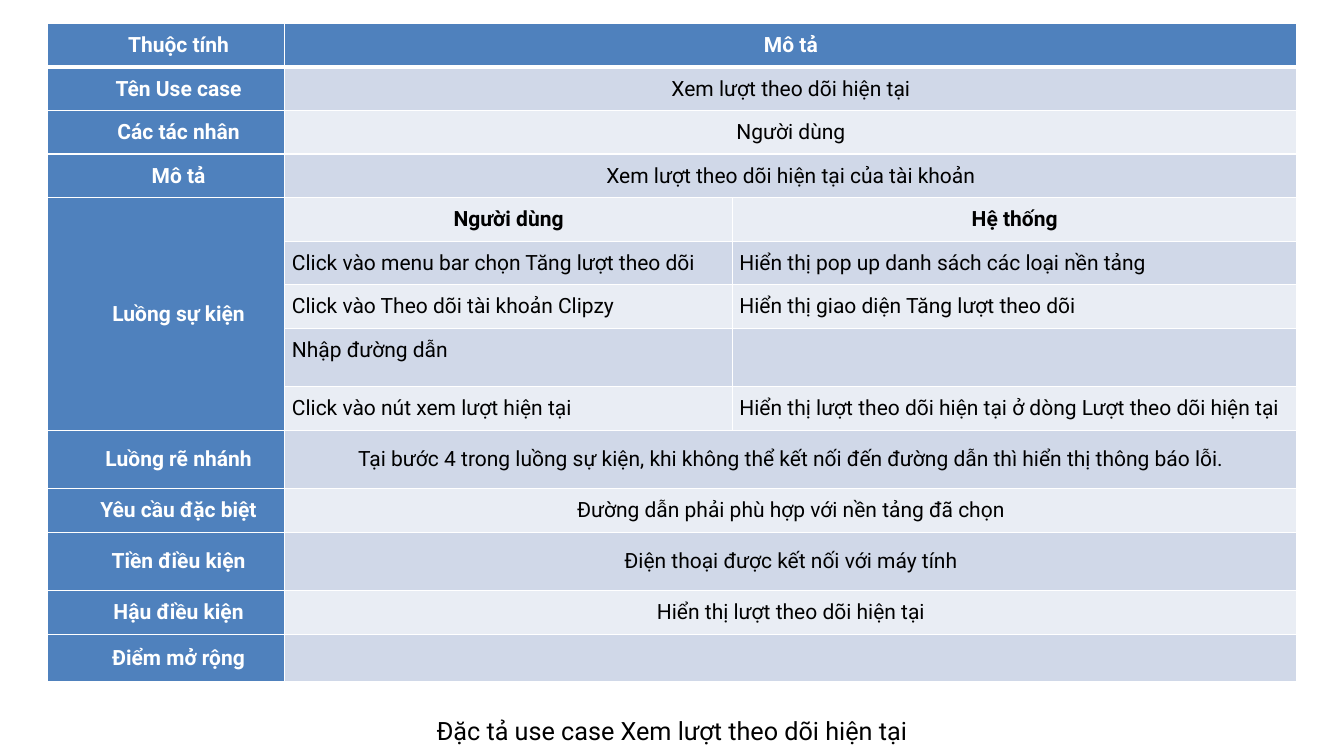
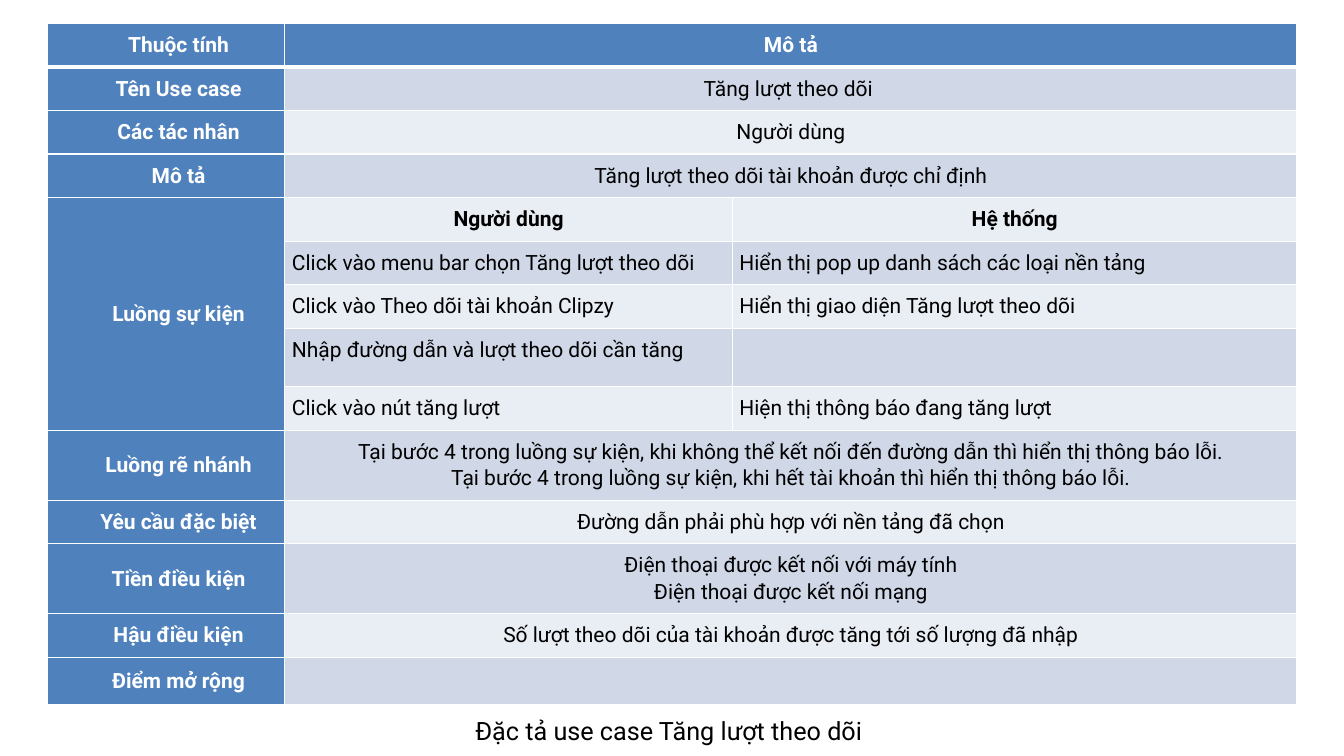
"""Build two use case specification slides, each a table with its caption."""
from lxml.etree import SubElement
from pptx import Presentation
from pptx.dml.color import RGBColor
from pptx.enum.text import MSO_ANCHOR as Anchor, PP_ALIGN as Align
from pptx.oxml.ns import qn
from pptx.util import Inches, Pt

FONT = "Roboto"
BLUE, WHITE, BLACK = "4F81BD", "FFFFFF", "000000"
BANDS = ["E9EDF4", "D0D8E8"]
MARGINS = {"margin_left": 0.07, "margin_top": 0.08, "margin_right": 0.07, "margin_bottom": 0.09}
COLUMN_SHARES = [0.177, 0.333, 0.42]
ROW, TALL_ROW = 0.43, 0.58
TALL_ROWS = [7, 9, 11]
FIRST_STEP, LAST_STEP = 4, 8

MENU_STEPS = [
    ("Luồng sự kiện", "Người dùng", "Hệ thống"),
    ("", "Click vào menu bar chọn Tăng lượt theo dõi", "Hiển thị pop up danh sách các loại nền tảng"),
    ("", "Click vào Theo dõi tài khoản Clipzy", "Hiển thị giao diện Tăng lượt theo dõi"),
]
BRANCH = "Tại bước 4 trong luồng sự kiện, khi không thể kết nối đến đường dẫn thì hiển thị thông báo lỗi."
CONNECTED = "Điện thoại được kết nối với máy tính"

USE_CASES = [
    {
        "name": "Xem lượt theo dõi hiện tại",
        "description": "Xem lượt theo dõi hiện tại của tài khoản",
        "steps": [
            ("", "Nhập đường dẫn", ""),
            ("", "Click vào nút xem lượt hiện tại", "Hiển thị lượt theo dõi hiện tại ở dòng Lượt theo dõi hiện tại"),
        ],
        "branch": BRANCH,
        "before": CONNECTED,
        "after": "Hiển thị lượt theo dõi hiện tại",
    },
    {
        "name": "Tăng lượt theo dõi ",
        "description": "Tăng lượt theo dõi tài khoản được chỉ định",
        "steps": [
            ("", "Nhập đường dẫn và lượt theo dõi cần tăng", ""),
            ("", "Click vào nút tăng lượt", "Hiện thị thông báo đang tăng lượt"),
        ],
        "branch": BRANCH + "\nTại bước 4 trong luồng sự kiện, khi hết tài khoản thì hiển thị thông báo lỗi.",
        "before": CONNECTED + "\nĐiện thoại được kết nối mạng",
        "after": "Số lượt theo dõi của tài khoản được tăng tới số lượng đã nhập",
    },
]


def color(value):
    """Turn a hex string into a colour."""
    return RGBColor.from_string(value)


def write(frame, text, size, ink, bold, align, indent=0):
    """Fill a text frame with formatted paragraphs, one for each line."""
    frame.text = text
    for paragraph in frame.paragraphs:
        paragraph.alignment = align
        if indent:
            paragraph._p.get_or_add_pPr().set("marL", str(Inches(indent)))
        for run in paragraph.runs:
            for name, value in {"name": FONT, "size": Pt(size), "bold": bold}.items():
                setattr(run.font, name, value)
            run.font.color.rgb = color(ink)


presentation = Presentation()
presentation.slide_width, presentation.slide_height = Inches(13.33), Inches(7.5)
width, height = presentation.slide_width, presentation.slide_height
left, top = int(width * 0.035), int(height * 0.031)
column_widths = [int(width * share) for share in COLUMN_SHARES]

for use_case in USE_CASES:
    slide = presentation.slides.add_slide(presentation.slide_layouts[5])
    caption = slide.shapes.title
    place = {"left": left, "top": int(height * 0.94), "width": sum(column_widths), "height": Inches(0.4)}
    for name, value in place.items():
        setattr(caption, name, value)
    caption.text_frame.vertical_anchor = Anchor.TOP
    write(caption.text_frame, f"Đặc tả use case {use_case['name']}", 18, BLACK, False, Align.CENTER)

    rows = [
        ("Thuộc tính", "Mô tả", ""),
        ("Tên Use case", use_case["name"], ""),
        ("Các tác nhân", "Người dùng", ""),
        ("Mô tả", use_case["description"], ""),
        *MENU_STEPS,
        *use_case["steps"],
        ("Luồng rẽ nhánh", use_case["branch"], ""),
        ("Yêu cầu đặc biệt", "Đường dẫn phải phù hợp với nền tảng đã chọn", ""),
        ("Tiền điều kiện", use_case["before"], ""),
        ("Hậu điều kiện", use_case["after"], ""),
        ("Điểm mở rộng", "", ""),
    ]
    heights = [Inches(TALL_ROW if index in TALL_ROWS else ROW) for index in range(len(rows))]
    table = slide.shapes.add_table(
        len(rows), len(column_widths), left, top, sum(column_widths), sum(heights)
    ).table
    table.first_row = table.horz_banding = False
    for column, column_width in zip(table.columns, column_widths):
        column.width = column_width

    for row_index, texts in enumerate(rows):
        table.rows[row_index].height = heights[row_index]
        is_step = FIRST_STEP <= row_index <= LAST_STEP
        for column_index, text in enumerate(texts):
            cell = table.cell(row_index, column_index)
            is_label = row_index == 0 or column_index == 0
            is_left = is_step and column_index > 0 and row_index > FIRST_STEP
            for name, value in MARGINS.items():
                setattr(cell, name, Inches(value))
            cell.vertical_anchor = Anchor.TOP if is_step and column_index else Anchor.MIDDLE
            thick_side = {0: "lnB", 1: "lnT"}.get(row_index)
            for side in ("lnL", "lnR", "lnT", "lnB"):
                line = SubElement(cell._tc.get_or_add_tcPr(), qn(f"a:{side}"))
                line.set("w", str(Pt(3 if side == thick_side else 1)))
                SubElement(SubElement(line, qn("a:solidFill")), qn("a:srgbClr")).set("val", WHITE)
            cell.fill.solid()
            cell.fill.fore_color.rgb = color(BLUE if is_label else BANDS[row_index % 2])
            if text:
                write(
                    cell.text_frame, text, 15, WHITE if is_label else BLACK,
                    is_label or row_index == FIRST_STEP,
                    Align.LEFT if is_left else Align.CENTER,
                    indent=0 if column_index else 0.25,
                )
                for paragraph in cell.text_frame.paragraphs:
                    paragraph.line_spacing = 1.07
        if not is_step:
            table.cell(row_index, 1).merge(table.cell(row_index, 2))
    table.cell(FIRST_STEP, 0).merge(table.cell(LAST_STEP, 0))

presentation.save("out.pptx")
